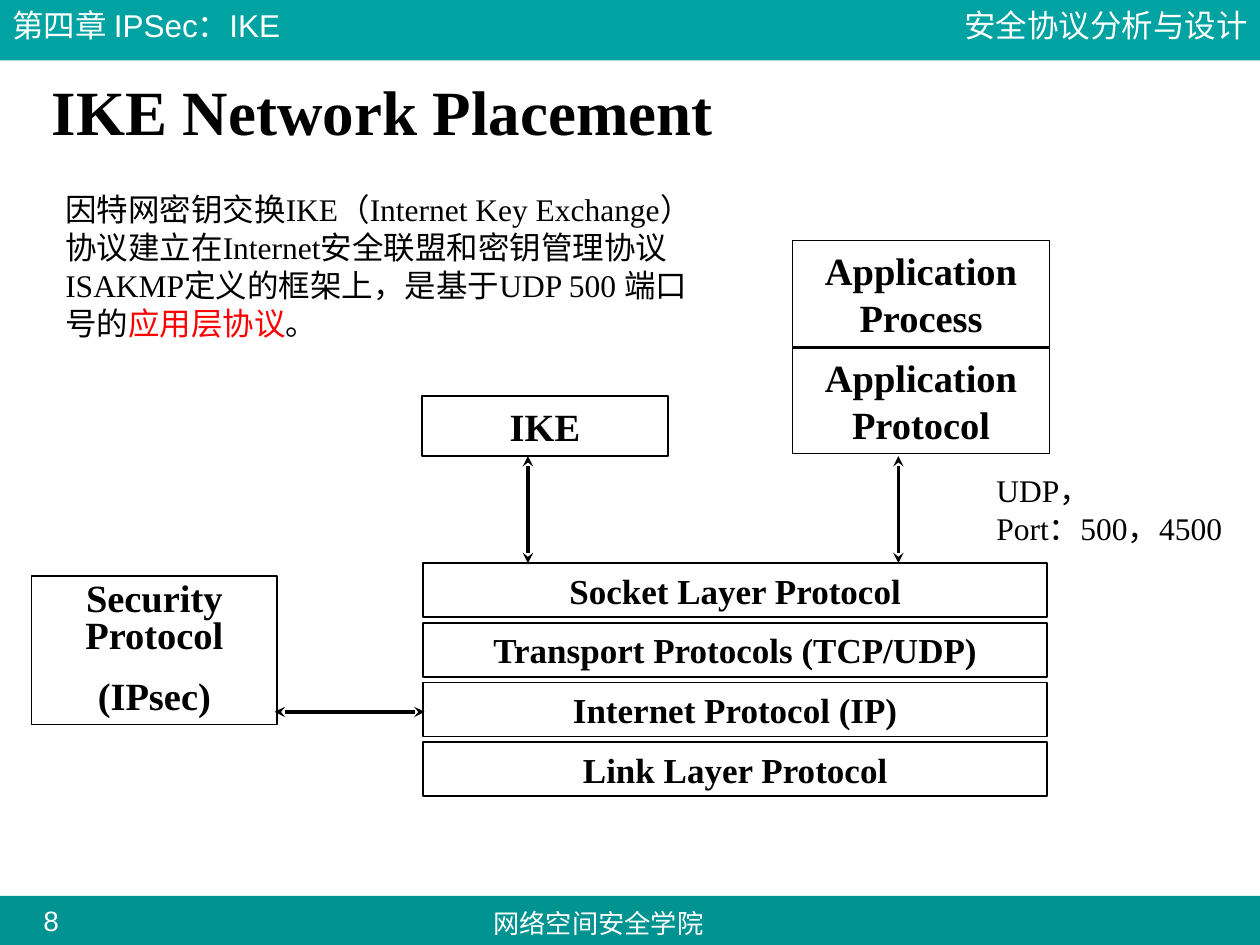
"""Build the IKE Network Placement slide."""

from dataclasses import dataclass, field

from lxml.etree import SubElement
from pptx import Presentation
from pptx.dml.color import RGBColor
from pptx.enum.shapes import MSO_CONNECTOR, MSO_SHAPE
from pptx.enum.text import MSO_ANCHOR, MSO_AUTO_SIZE, PP_ALIGN
from pptx.oxml.ns import qn
from pptx.shapes.base import BaseShape
from pptx.slide import Slide
from pptx.text.text import TextFrame
from pptx.util import Inches, Pt


@dataclass(frozen=True)
class Theme:
    header: RGBColor = RGBColor(0x00, 0xA3, 0xA1)
    footer: RGBColor = RGBColor(0x00, 0x93, 0x91)
    white: RGBColor = RGBColor(0xFF, 0xFF, 0xFF)
    black: RGBColor = RGBColor(0x00, 0x00, 0x00)
    red: RGBColor = RGBColor(0xFF, 0x00, 0x00)
    sans: str = "Arial"
    serif: str = "Times New Roman"
    title_size: int = 36
    box_size: int = 22
    layer_size: int = 20
    body_size: int = 18
    page_size: int = 16
    footer_size: int = 15


THEME = Theme()


@dataclass(frozen=True)
class Area:
    left: float
    top: float
    width: float
    height: float

    def lengths(self) -> tuple:
        return tuple(Inches(value) for value in (self.left, self.top, self.width, self.height))


@dataclass(frozen=True)
class Run:
    text: str
    color: RGBColor = THEME.black


@dataclass(frozen=True)
class TextStyle:
    size: int
    name: str = THEME.serif
    bold: bool = False
    alignment: PP_ALIGN = PP_ALIGN.LEFT
    line_spacing: float = 1.0
    space_between: float = 0
    margins: tuple = (0.1, 0.05)
    wrap: bool = True


@dataclass(frozen=True)
class TextItem:
    area: Area
    paragraphs: list[list[Run]]
    style: TextStyle
    outlined: bool = False


@dataclass(frozen=True)
class Arrow:
    start: tuple[float, float]
    end: tuple[float, float]
    ends: tuple[str, str] = field(default=("headEnd", "tailEnd"))


def apply_format(target: object, values: dict) -> None:
    """Set every named attribute on the target."""
    for name, value in values.items():
        setattr(target, name, value)


def write_text(text_frame: TextFrame, item: TextItem) -> None:
    """Fill a text frame with styled paragraphs."""
    style = item.style
    side, end = (Inches(margin) for margin in style.margins)
    apply_format(text_frame, {
        "word_wrap": style.wrap, "auto_size": MSO_AUTO_SIZE.NONE,
        "vertical_anchor": MSO_ANCHOR.MIDDLE,
        "margin_left": side, "margin_right": side,
        "margin_top": end, "margin_bottom": end,
    })
    for index, runs in enumerate(item.paragraphs):
        paragraph = text_frame.add_paragraph() if index else text_frame.paragraphs[0]
        apply_format(paragraph, {
            "alignment": style.alignment, "line_spacing": style.line_spacing,
            "space_before": Pt(style.space_between if index else 0),
        })
        for part in runs:
            run = paragraph.add_run()
            run.text = part.text
            apply_format(run.font, {"name": style.name, "size": Pt(style.size), "bold": style.bold})
            run.font.color.rgb = part.color


def draw_band(slide: Slide, area: Area, color: RGBColor) -> None:
    """Draw a solid band across the slide."""
    band = slide.shapes.add_shape(MSO_SHAPE.RECTANGLE, *area.lengths())
    band.shadow.inherit = False
    band.fill.solid()
    band.fill.fore_color.rgb = color
    band.line.fill.background()


def draw_text_item(slide: Slide, item: TextItem) -> None:
    """Draw a text box or an outlined box with text."""
    shape: BaseShape
    if item.outlined:
        shape = slide.shapes.add_shape(MSO_SHAPE.RECTANGLE, *item.area.lengths())
        shape.shadow.inherit = False
        shape.fill.background()
        shape.line.color.rgb = THEME.black
        shape.line.width = Pt(1)
    else:
        shape = slide.shapes.add_textbox(*item.area.lengths())
    write_text(shape.text_frame, item)


def draw_arrow(slide: Slide, arrow: Arrow) -> None:
    """Draw a line with a stealth head at each end."""
    points = [Inches(value) for value in arrow.start + arrow.end]
    connector = slide.shapes.add_connector(MSO_CONNECTOR.STRAIGHT, *points)
    connector.line.color.rgb = THEME.black
    connector.line.width = Pt(2)
    properties = connector._element.spPr
    line = properties.find(qn("a:ln"))
    for end in arrow.ends:
        SubElement(line, qn(f"a:{end}"), type="stealth")
    SubElement(properties, qn("a:effectLst"))


def draw_title(slide: Slide) -> None:
    """Place and format the title."""
    area = Area(0.31, 0.58, 9.02, 0.67)
    title = slide.shapes.title
    apply_format(title, dict(zip(("left", "top", "width", "height"), area.lengths())))
    style = TextStyle(THEME.title_size, bold=True, line_spacing=0.9)
    write_text(title.text_frame, TextItem(area, [[Run("IKE Network Placement")]], style))


def main() -> None:
    """Build and save the presentation."""
    presentation = Presentation()
    presentation.slide_width, presentation.slide_height = Inches(10), Inches(7.5)
    slide = presentation.slides.add_slide(presentation.slide_layouts[5])
    draw_title(slide)
    draw_band(slide, Area(0, 7.11, 10, 0.42), THEME.footer)
    draw_band(slide, Area(0, 0, 10, 0.48), THEME.header)

    center = PP_ALIGN.CENTER
    chapter = TextStyle(THEME.body_size, THEME.sans)
    course = TextStyle(THEME.body_size, THEME.sans, alignment=PP_ALIGN.RIGHT)
    school = TextStyle(THEME.footer_size, THEME.sans, alignment=center)
    page = TextStyle(THEME.page_size, THEME.sans, alignment=center, margins=(0, 0))
    box = TextStyle(THEME.box_size, bold=True, alignment=center, margins=(0.11, 0.06))
    security = TextStyle(THEME.box_size, bold=True, alignment=center, line_spacing=0.8,
                         space_between=13.8, margins=(0.11, 0.06))
    layer = TextStyle(THEME.layer_size, bold=True, alignment=center)
    body = TextStyle(THEME.body_size)
    ports = TextStyle(THEME.body_size, wrap=False)

    layers = ("Socket Layer Protocol", "Transport Protocols (TCP/UDP)",
              "Internet Protocol (IP)", "Link Layer Protocol")
    introduction = [
        Run("因特网密钥交换IKE（Internet Key Exchange）协议建立在Internet安全联盟和"
            "密钥管理协议ISAKMP定义的框架上，是基于UDP 500 端口号的"),
        Run("应用层协议", THEME.red), Run("。"),
    ]
    items = [
        TextItem(Area(6.92, 0, 3.08, 0.4), [[Run("安全协议分析与设计", THEME.white)]], course),
        TextItem(Area(3.58, 7.15, 2.34, 0.35), [[Run("网络空间安全学院", THEME.white)]], school),
        TextItem(Area(0.14, 7.17, 0.53, 0.27), [[Run("8", THEME.white)]], page),
        TextItem(Area(0, 0, 3.08, 0.4), [[Run("第四章 IPSec：IKE", THEME.white)]], chapter),
        TextItem(Area(0.25, 4.57, 1.95, 1.18),
                 [[Run("Security Protocol")], [Run("(IPsec)")]], security, True),
        TextItem(Area(6.29, 2.76, 2.04, 0.84), [[Run("Application Protocol")]], box, True),
        TextItem(Area(6.29, 1.91, 2.04, 0.84), [[Run("Application Process")]], box, True),
        TextItem(Area(3.35, 3.14, 1.95, 0.48), [[Run("IKE")]], box, True),
        *(TextItem(Area(3.36, 4.47 + 0.473 * row, 4.95, 0.43), [[Run(name)]], layer, True)
          for row, name in enumerate(layers)),
        TextItem(Area(7.81, 3.69, 2.23, 0.7),
                 [[Run("UDP，")], [Run("Port：500，4500")]], ports),
        TextItem(Area(0.42, 1.46, 5.33, 1.3), [introduction], body),
    ]
    for item in items:
        draw_text_item(slide, item)
    for arrow in (Arrow((2.18, 5.65), (3.37, 5.65)),
                  *(Arrow((x, 3.62), (x, 4.47)) for x in (4.19, 7.13))):
        draw_arrow(slide, arrow)
    presentation.save("out.pptx")


if __name__ == "__main__":
    main()
